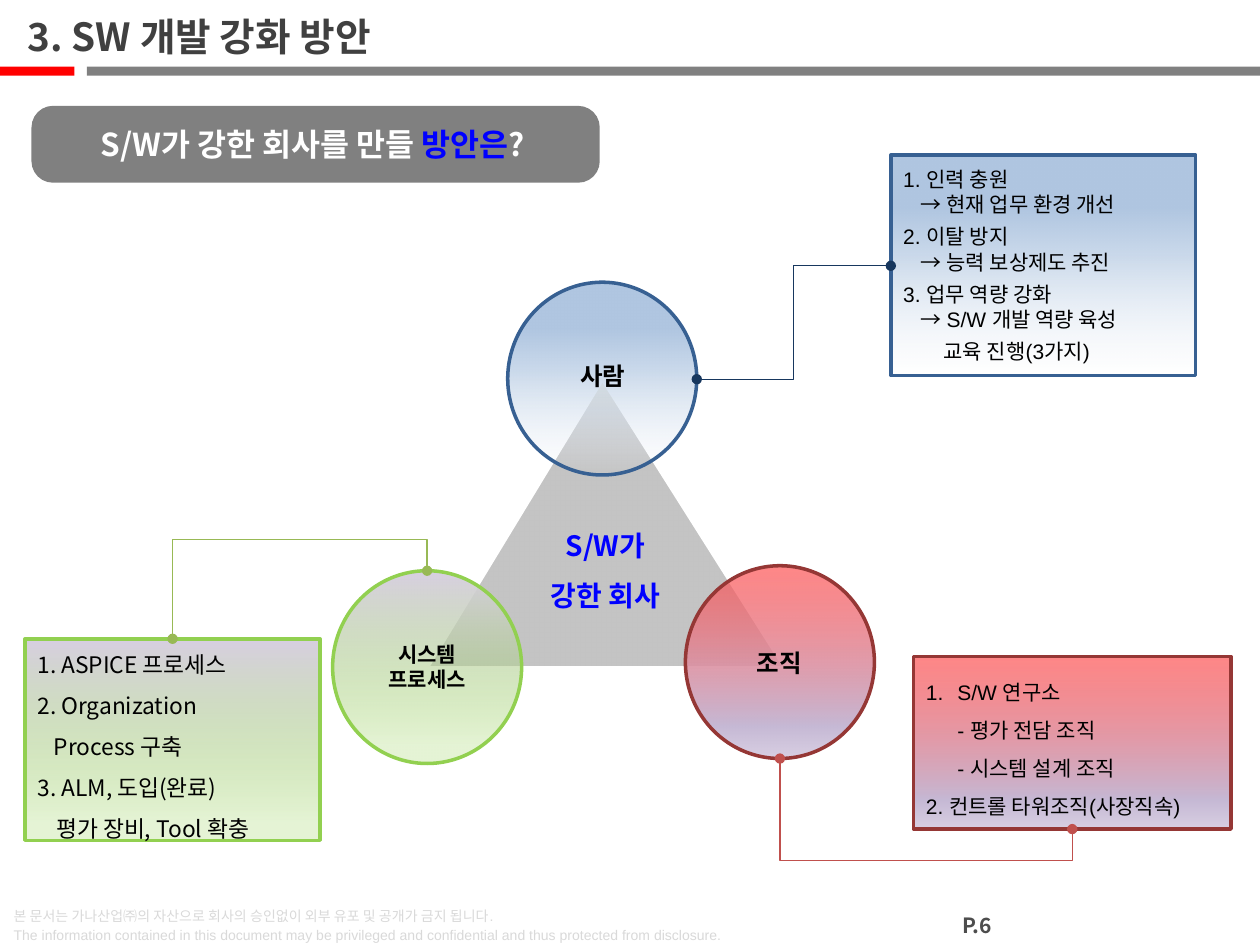
from dataclasses import dataclass
from typing import Optional

from lxml.etree import SubElement
from pptx import Presentation
from pptx.dml.color import RGBColor
from pptx.enum.shapes import MSO_CONNECTOR, MSO_SHAPE
from pptx.enum.text import MSO_ANCHOR, MSO_AUTO_SIZE, PP_ALIGN
from pptx.oxml.ns import qn
from pptx.util import Inches, Pt

NOTO, ARIAL = "Noto Sans CJK KR", "Arial"
BLACK = RGBColor(0x00, 0x00, 0x00)
WHITE = RGBColor(0xFF, 0xFF, 0xFF)
RED = RGBColor(0xFF, 0x00, 0x00)
BLUE = RGBColor(0x00, 0x00, 0xFF)
GREY = RGBColor(0x80, 0x80, 0x80)
PALE = RGBColor(0xD9, 0xD9, 0xD9)
DARK = RGBColor(0x40, 0x40, 0x40)
SLATE = RGBColor(0x4D, 0x4D, 0x4D)
NAVY = RGBColor(0x37, 0x60, 0x92)
WINE = RGBColor(0x95, 0x37, 0x35)
LIME = RGBColor(0x92, 0xD0, 0x50)
NAVY_LINK = RGBColor(0x17, 0x37, 0x5E)
WINE_LINK = RGBColor(0xC0, 0x50, 0x4D)
LIME_LINK = RGBColor(0x98, 0xB9, 0x55)

# Gradient stops: position %, colour, opacity %
Stops = list[tuple[int, str, int]]
SKY: Stops = [(0, "B0C6E1", 100), (24, "B0C6E1", 100), (45, "CAD9EB", 100), (100, "EDF2F8", 0)]
ROSE: Stops = [(0, "FF4D4D", 67), (83, "C6B9D5", 100), (100, "D9D0E3", 100)]
LEAF: Stops = [(0, "D9D0E3", 100), (91, "92D050", 23)]
MIST: Stops = [(0, "E8D8AA", 100), (11, "A6A6A6", 66)]


@dataclass
class Area:
    left: float
    top: float
    width: float
    height: float

    def emu(self) -> tuple[int, ...]:
        return tuple(Inches(v) for v in (self.left, self.top, self.width, self.height))


@dataclass
class Look:
    size: float
    color: RGBColor = BLACK
    bold: bool = False
    font: str = NOTO
    align: PP_ALIGN = PP_ALIGN.LEFT
    lead: Optional[float] = None
    gap: float = 0


@dataclass
class Para:
    text: str
    left: float = 0
    hang: float = 0
    number: bool = False


@dataclass
class Panel:
    kind: MSO_SHAPE
    area: Area
    stops: Stops
    edge: RGBColor
    look: Optional[Look] = None
    paras: tuple[Para, ...] = ()


@dataclass
class Label:
    area: Area
    look: Look
    paras: tuple[Para, ...]


@dataclass
class Link:
    area: Area
    turn: int
    flips: str
    bend: float
    color: RGBColor


def add_run(para, text: str, look: Look, color: RGBColor) -> None:
    run = para.add_run()
    run.text = text
    font = run.font
    font.size, font.bold, font.name = Pt(look.size), look.bold, look.font
    font.color.rgb = color
    SubElement(font._element, qn("a:ea"), typeface=NOTO)


def write(frame, look: Look, paras: tuple[Para, ...]) -> None:
    frame.word_wrap = True
    for i, item in enumerate(paras):
        para = frame.paragraphs[0] if i == 0 else frame.add_paragraph()
        para.alignment = look.align
        if look.lead:
            para.line_spacing = look.lead
        if look.gap and i:
            para.space_before = Pt(look.gap)
        props = para._p.get_or_add_pPr()
        props.set("marL", str(Inches(item.left)))
        props.set("indent", str(Inches(-item.hang)))
        if item.number:
            SubElement(props, qn("a:buFont"), typeface="+mj-lt")
            SubElement(props, qn("a:buAutoNum"), type="arabicPeriod")
        for j, line in enumerate(item.text.split("\n")):
            if j:
                para.add_line_break()
            add_run(para, line, look, look.color)


def add_label(slide, label: Label):
    frame = slide.shapes.add_textbox(*label.area.emu()).text_frame
    write(frame, label.look, label.paras)
    frame.auto_size = MSO_AUTO_SIZE.SHAPE_TO_FIT_TEXT
    return frame


def add_solid(slide, kind: MSO_SHAPE, area: Area, color: RGBColor):
    shape = slide.shapes.add_shape(kind, *area.emu())
    shape.shadow.inherit = False
    shape.fill.solid()
    shape.fill.fore_color.rgb = color
    shape.line.fill.background()
    return shape


def add_panel(slide, panel: Panel):
    shape = add_solid(slide, panel.kind, panel.area, WHITE)
    props = shape._element.spPr
    old = props.find(qn("a:solidFill"))
    grad = SubElement(props, qn("a:gradFill"), rotWithShape="1")
    props.replace(old, grad)
    stops = SubElement(grad, qn("a:gsLst"))
    for place, color, alpha in panel.stops:
        stop = SubElement(stops, qn("a:gs"), pos=str(place * 1000))
        tint = SubElement(stop, qn("a:srgbClr"), val=color)
        if alpha < 100:
            SubElement(tint, qn("a:alpha"), val=str(alpha * 1000))
    SubElement(grad, qn("a:lin"), ang="5400000", scaled="0")
    shape.line.color.rgb = panel.edge
    shape.line.width = Pt(2)
    if panel.look:
        shape.text_frame.vertical_anchor = MSO_ANCHOR.MIDDLE
        write(shape.text_frame, panel.look, panel.paras)
    return shape


def add_link(slide, link: Link) -> None:
    left, top, width, height = link.area.emu()
    wire = slide.shapes.add_connector(MSO_CONNECTOR.ELBOW, left, top, left + width, top + height)
    wire.line.color.rgb = link.color
    wire.line.width = Pt(0.75)
    props = wire._element.spPr
    for end in ("a:headEnd", "a:tailEnd"):
        SubElement(props.find(qn("a:ln")), qn(end), type="oval")
    SubElement(props, qn("a:effectLst"))
    frame = props.find(qn("a:xfrm"))
    frame.set("rot", str(link.turn * 60000))
    for flip in link.flips:
        frame.set("flip" + flip, "1")
    guides = props.find(qn("a:prstGeom")).get_or_add_avLst()
    SubElement(guides, qn("a:gd"), name="adj1", fmla=f"val {round(link.bend * 100000)}")


MID = PP_ALIGN.CENTER
DISC, BOX = MSO_SHAPE.FLOWCHART_CONNECTOR, MSO_SHAPE.RECTANGLE
HEAD = Look(14, bold=True, align=MID)
DISCS = [Panel(DISC, Area(4.03, 2.24, 1.5, 1.53), SKY, NAVY),
         Panel(DISC, Area(5.44, 4.49, 1.5, 1.53), ROSE, WINE),
         Panel(DISC, Area(2.64, 4.53, 1.5, 1.53), LEAF, LIME)]
LABELS = [
    Label(Area(4.35, 2.82, 0.87, 0.34), HEAD, (Para("사람"),)),
    Label(Area(2.85, 5.04, 1.08, 0.5), Look(12, bold=True, align=MID), (Para("시스템"), Para("프로세스"))),
    Label(Area(5.75, 5.09, 0.87, 0.34), HEAD, (Para("조직"),)),
    Label(Area(3.96, 4.01, 1.69, 0.86), Look(16, BLUE, True, align=MID, lead=1.5),
          (Para("S/W가"), Para("강한 회사"))),
]
PANELS = [
    Panel(BOX, Area(7.07, 1.23, 2.42, 1.75), SKY, NAVY, Look(12, font=ARIAL, gap=4), (
        Para("1. 인력 충원\n→ 현재 업무 환경 개선", 0.14, 0.14),
        Para("2. 이탈 방지\n→ 능력 보상제도 추진", 0.14, 0.14),
        Para("3. 업무 역량 강화\n→ S/W 개발 역량 육성", 0.14, 0.14),
        Para("교육 진행(3가지)", 0.32))),
    Panel(BOX, Area(7.25, 5.21, 2.52, 1.37), ROSE, WINE, Look(12, font=ARIAL, lead=1.5), (
        Para("S/W 연구소\n- 평가 전담 조직\n- 시스템 설계 조직", 0.25, 0.25, True),
        Para("2. 컨트롤 타워조직(사장직속)"))),
    Panel(BOX, Area(0.2, 5.07, 2.34, 1.6), LEAF, LIME, Look(13, lead=1.5), (
        Para("1. ASPICE 프로세스"), Para("2. Organization"), Para("Process 구축", 0.13),
        Para("3. ALM, 도입(완료)"), Para("평가 장비, Tool 확충", 0.15))),
]
LINKS = [Link(Area(2.11, 3.79, 0.54, 2.02), 270, "HV", -0.46, LIME_LINK),
         Link(Area(5.53, 2.11, 1.54, 0.9), 180, "V", 0.5, NAVY_LINK),
         Link(Area(7.07, 5.14, 0.56, 2.32), 90, "H", -0.45, WINE_LINK)]


def main() -> None:
    deck = Presentation()
    deck.slide_width, deck.slide_height = Inches(10), Inches(7.5)
    slide = deck.slides.add_slide(deck.slide_layouts[6])

    # Header bars, footer and title
    add_solid(slide, BOX, Area(0, 0.53, 0.59, 0.07), RED)
    add_solid(slide, BOX, Area(0.69, 0.53, 9.31, 0.07), GREY)
    add_label(slide, Label(Area(0.01, 7.13, 7.4, 0.41), Look(8, PALE, font=ARIAL, lead=Pt(11)), (
        Para("본 문서는 가나산업㈜의 자산으로 회사의 승인없이 외부 유포 및 공개가 금지 됩니다."),
        Para("The information contained in this document may be privileged and confidential "
             "and thus protected from disclosure."))))
    add_label(slide, Label(Area(7.36, 7.19, 0.79, 0.31), Look(12, SLATE, True, align=MID), (Para("P.6"),)))
    title = add_label(slide, Label(Area(0.2, 0.05, 9.44, 0.47), Look(22.1, DARK, True),
                                   (Para("3. SW 개발 강화 방안"),)))
    title.margin_left = Inches(0.02)
    title.vertical_anchor = MSO_ANCHOR.MIDDLE

    # Triangle with its three discs
    core = add_panel(slide, Panel(MSO_SHAPE.ISOSCELES_TRIANGLE, Area(3.39, 3.01, 2.84, 2.29), MIST, WHITE))
    core.adjustments[0] = 0.49
    for panel in DISCS:
        add_panel(slide, panel)
    for label in LABELS:
        add_label(slide, label)

    # Detail panels
    for panel in PANELS:
        add_panel(slide, panel)

    # Question banner
    pill = add_solid(slide, MSO_SHAPE.ROUNDED_RECTANGLE, Area(0.25, 0.84, 4.51, 0.61), GREY)
    pill.adjustments[0] = 0.28
    pill.text_frame.vertical_anchor = MSO_ANCHOR.MIDDLE
    look = Look(18, WHITE, True)
    write(pill.text_frame, look, (Para("S/W가 강한 회사를 만들 ", 0.4),))
    for text, color in (("방안은", BLUE), ("?", WHITE)):
        add_run(pill.text_frame.paragraphs[0], text, look, color)

    # Elbow links from discs to panels
    for link in LINKS:
        add_link(slide, link)
    deck.save("out.pptx")


if __name__ == "__main__":
    main()
